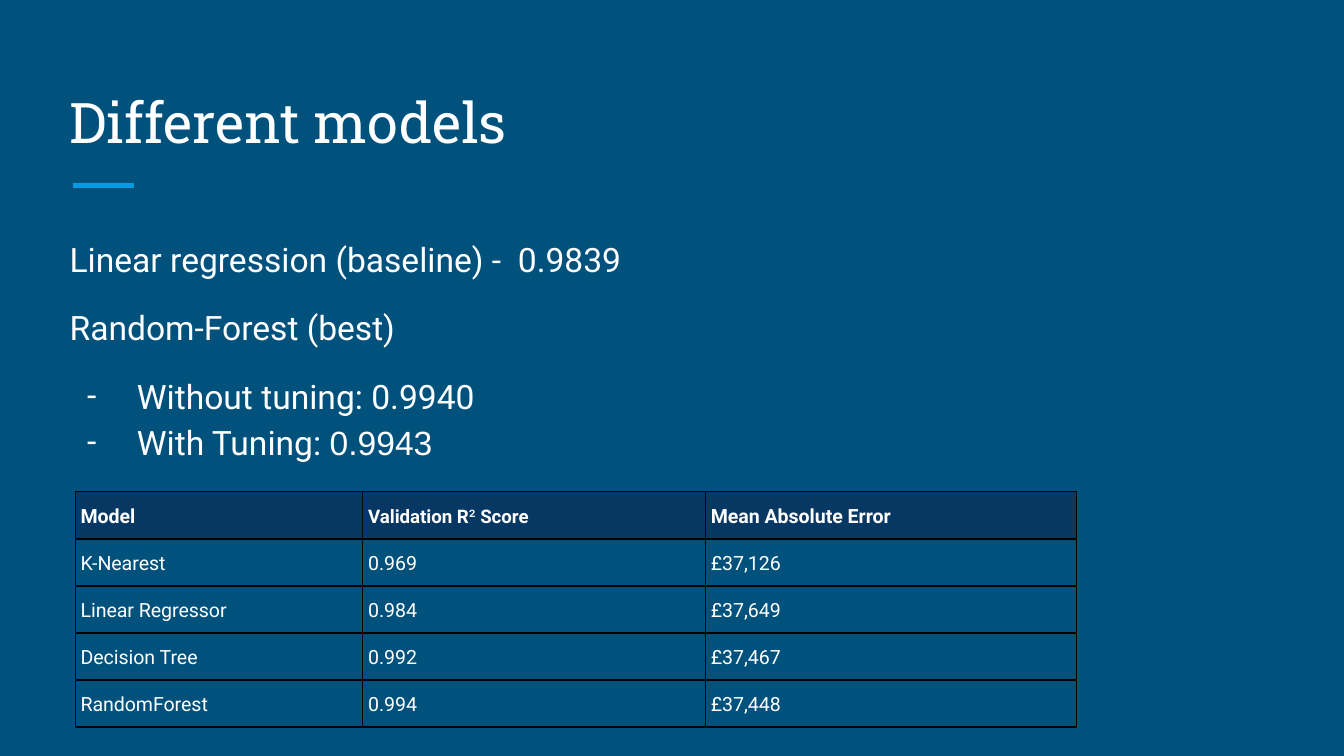
from lxml import etree
from pptx import Presentation
from pptx.dml.color import RGBColor
from pptx.enum.shapes import MSO_CONNECTOR
from pptx.enum.text import MSO_ANCHOR
from pptx.oxml.ns import qn
from pptx.util import Inches, Pt

STRAIGHT = MSO_CONNECTOR.STRAIGHT
TOP, MIDDLE, BOTTOM = MSO_ANCHOR.TOP, MSO_ANCHOR.MIDDLE, MSO_ANCHOR.BOTTOM
COLORS = {
    "background": "00517C",
    "accent": "039BE5",
    "text": "FFFFFF",
    "header": "073763",
    "border": "000000",
}
HEADING_FONT, BODY_FONT, NUMBER_FONT = "Roboto Slab", "Roboto", "Arial"


def rgb(name):
    return RGBColor.from_string(COLORS[name])


class SlideBuilder:
    """Hold the style and the current slide, and add each kind of element."""

    def __init__(self, slide):
        self.slide = slide
        background = slide.background.fill
        background.solid()
        background.fore_color.rgb = rgb("background")

    def add_run(self, paragraph, text, size, font=BODY_FONT, bold=False):
        run = paragraph.add_run()
        run.text = text
        run.font.size = Pt(size)
        run.font.name = font
        run.font.bold = bold
        run.font.color.rgb = rgb("text")

    def add_rule(self, left, right, y, width):
        rule = self.slide.shapes.add_connector(
            STRAIGHT, Inches(left), Inches(y), Inches(right), Inches(y))
        rule.line.color.rgb = rgb("accent")
        rule.line.width = Pt(width)
        etree.SubElement(rule._element.spPr, qn("a:effectLst"))

    def add_text(self, left, top, width, height, anchor):
        box = self.slide.shapes.add_textbox(
            Inches(left), Inches(top), Inches(width), Inches(height))
        frame = box.text_frame
        frame.word_wrap = True
        frame.vertical_anchor = anchor
        frame.margin_left = frame.margin_right = Inches(0.1)
        frame.margin_top = frame.margin_bottom = Inches(0.1)
        return frame

    def add_dash(self, paragraph):
        properties = paragraph._p.get_or_add_pPr()
        properties.set("marL", str(Inches(0.5)))
        properties.set("indent", str(Inches(-0.37)))
        color = etree.SubElement(properties, qn("a:buClr"))
        etree.SubElement(color, qn("a:srgbClr"), val=COLORS["text"])
        etree.SubElement(properties, qn("a:buFont"), typeface=BODY_FONT)
        etree.SubElement(properties, qn("a:buChar"), char="-")

    def add_title(self, text):
        frame = self.add_text(0.42, 0.5, 9.15, 0.75, BOTTOM)
        self.add_run(frame.paragraphs[0], text, 30, HEADING_FONT)

    def add_body(self, lines):
        frame = self.add_text(0.42, 1.63, 9.15, 3.37, TOP)
        for index, (runs, dashed, space_before) in enumerate(lines):
            paragraph = frame.add_paragraph() if index else frame.paragraphs[0]
            if dashed:
                self.add_dash(paragraph)
            paragraph.line_spacing = 1.15
            if space_before:
                paragraph.space_before = Pt(space_before)
            for text, font in runs:
                self.add_run(paragraph, text, 18, font)

    def add_borders(self, cell):
        properties = cell._tc.get_or_add_tcPr()
        for side in ("lnL", "lnR", "lnT", "lnB"):
            border = etree.SubElement(properties, qn(f"a:{side}"), w=str(Pt(0.75)))
            fill = etree.SubElement(border, qn("a:solidFill"))
            etree.SubElement(fill, qn("a:srgbClr"), val=COLORS["border"])

    def add_table(self, left, top, widths, row_height, rows):
        table = self.slide.shapes.add_table(
            len(rows), len(widths), Inches(left), Inches(top),
            Inches(sum(widths)), Inches(row_height * len(rows))).table
        table.first_row = table.horz_banding = False
        for column, width in zip(table.columns, widths):
            column.width = Inches(width)
        for row_index, row in enumerate(rows):
            for column_index, runs in enumerate(row):
                self.fill_cell(table.cell(row_index, column_index), runs, row_index == 0)

    def fill_cell(self, cell, runs, is_header):
        self.add_borders(cell)
        if is_header:
            cell.fill.solid()
            cell.fill.fore_color.rgb = rgb("header")
        else:
            cell.fill.background()
        cell.vertical_anchor = MIDDLE
        cell.margin_left = cell.margin_right = Inches(0.04)
        cell.margin_top = cell.margin_bottom = Inches(0.04)
        paragraph = cell.text_frame.paragraphs[0]
        paragraph.line_spacing = 1.15
        for text, size, bold in runs:
            self.add_run(paragraph, text, size, bold=bold)


def main():
    presentation = Presentation()
    presentation.slide_width = Inches(10)
    presentation.slide_height = Inches(10) * 9 // 16
    builder = SlideBuilder(presentation.slides.add_slide(presentation.slide_layouts[6]))

    builder.add_rule(0.54, 1, 1.38, 3)
    builder.add_title("Different models")
    builder.add_body([
        ([("Linear regression (baseline) -  0.9839", BODY_FONT)], False, 0),
        ([("Random-Forest (best)", BODY_FONT)], False, 12),
        ([("Without tuning: 0.9940", BODY_FONT)], True, 12),
        ([("With Tuning: ", BODY_FONT), ("0.9943", NUMBER_FONT)], True, 0),
    ])

    header = [
        [("Model", 10.5, True)],
        [("Validation R", 10, True), ("²", 10, False), (" Score", 10, True)],
        [("Mean Absolute Error", 10.5, True)],
    ]
    scores = [
        ("K-Nearest", "0.969", "£37,126"),
        ("Linear Regressor", "0.984", "£37,649"),
        ("Decision Tree", "0.992", "£37,467"),
        ("RandomForest", "0.994", "£37,448"),
    ]
    score_rows = [[[(value, 10.5, False)] for value in score] for score in scores]
    builder.add_table(0.56, 3.66, [2.14, 2.55, 2.76], 0.35, [header] + score_rows)

    presentation.save("out.pptx")


if __name__ == "__main__":
    main()
